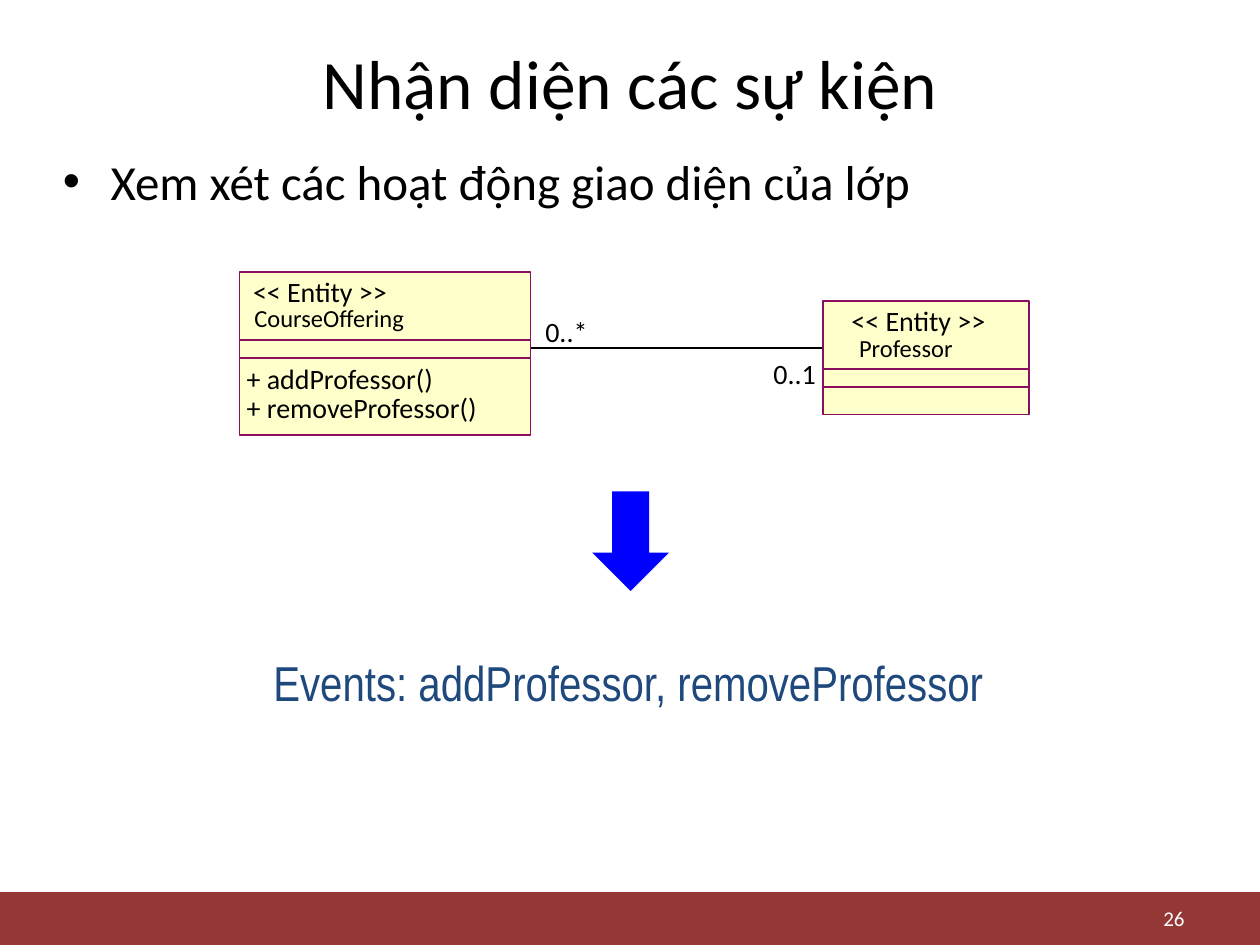
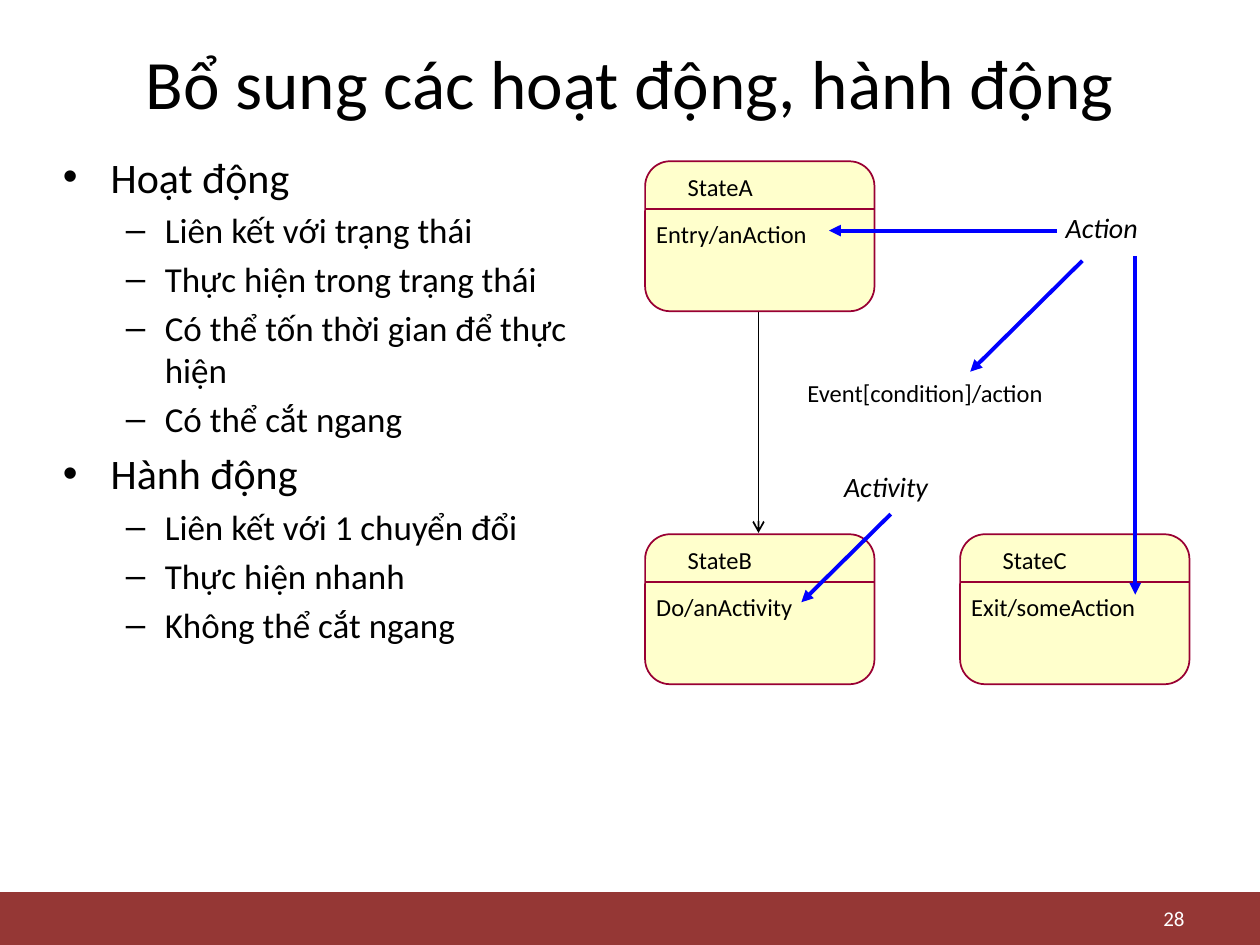
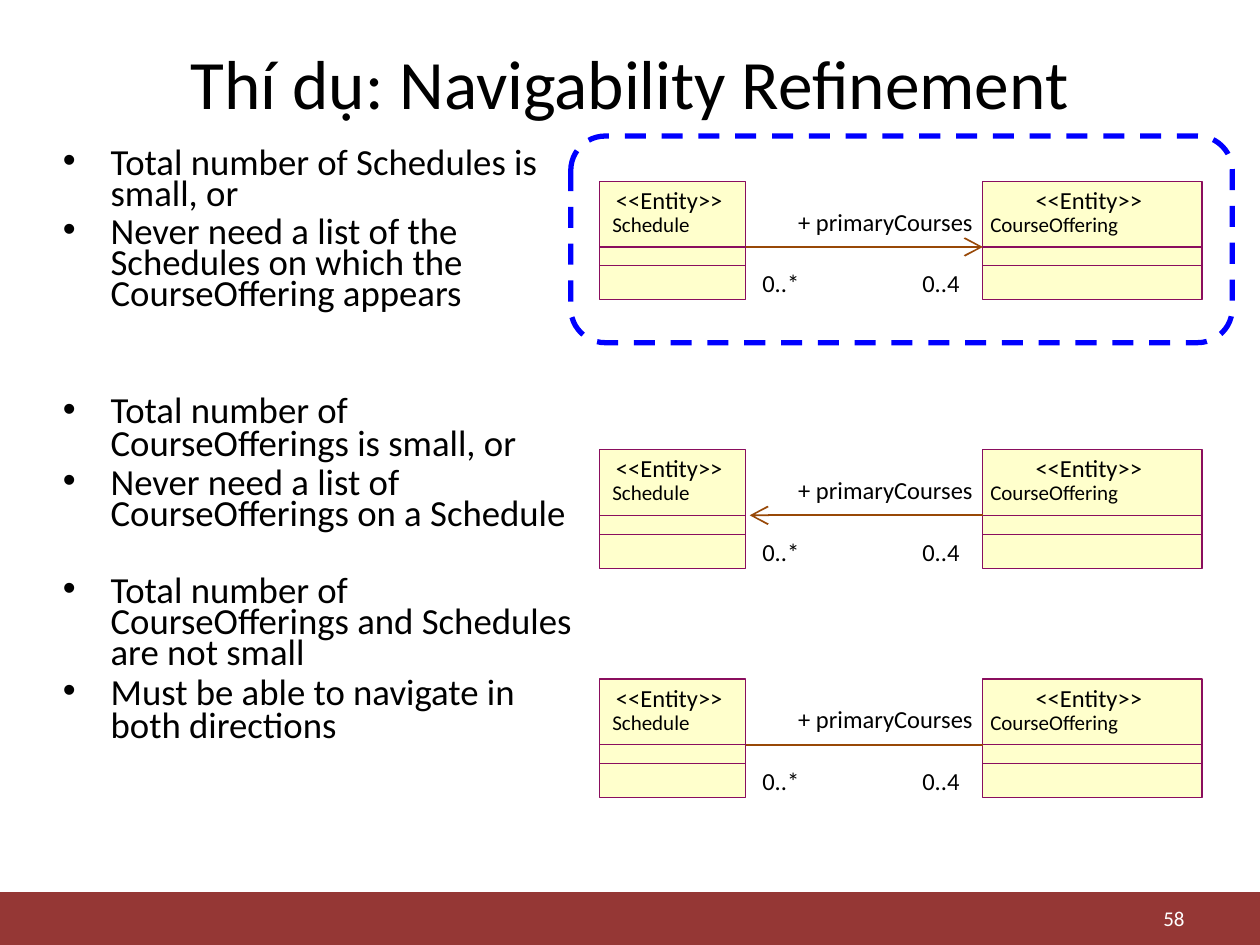
from dataclasses import dataclass
from typing import Optional

import pptx
import pptx.dml.color
import pptx.enum.dml
import pptx.enum.shapes
import pptx.enum.text
import pptx.oxml
import pptx.oxml.ns
import pptx.util

Inches = pptx.util.Inches
Pt = pptx.util.Pt
RGBColor = pptx.dml.color.RGBColor
Align = pptx.enum.text.PP_ALIGN
Anchor = pptx.enum.text.MSO_ANCHOR
Preset = pptx.enum.shapes.MSO_SHAPE
qn = pptx.oxml.ns.qn

BLACK = RGBColor(0x00, 0x00, 0x00)
WHITE = RGBColor(0xFF, 0xFF, 0xFF)
BAND = RGBColor(0x95, 0x37, 0x35)
CREAM = RGBColor(0xFF, 0xFF, 0xCC)
PLUM = RGBColor(0x8A, 0x0E, 0x5E)
CRIMSON = RGBColor(0x99, 0x00, 0x33)
BROWN = RGBColor(0x98, 0x48, 0x07)
BLUE = RGBColor(0x00, 0x00, 0xFF)
NAVY = RGBColor(0x1F, 0x49, 0x7D)
BODY_FONT = "Calibri"
EVENT_FONT = "Arial Narrow"


@dataclass
class Label:
    text: str
    left: float
    top: float
    width: float
    height: float
    size: float = 14
    color: RGBColor = BLACK
    font: str = BODY_FONT
    italic: bool = False
    align: Optional[Align] = None
    anchor: Anchor = Anchor.TOP
    inset: tuple[float, float] = (0.1, 0.05)
    wrap: bool = True


@dataclass
class Line:
    start: tuple[float, float]
    end: tuple[float, float]
    color: RGBColor = BLACK
    weight: float = 1
    tip: Optional[str] = None
    tip_size: str = "med"


@dataclass
class Panel:
    left: float
    top: float
    width: float
    height: float
    fill: Optional[RGBColor] = CREAM
    outline: Optional[RGBColor] = PLUM
    weight: float = 1
    preset: Preset = Preset.RECTANGLE
    dividers: tuple[float, ...] = ()


@dataclass
class Bullet:
    text: str
    size: float
    level: int = 0
    spacing: Optional[float] = None
    gap: float = 0


BULLET_STYLES = (("•", "Arial", 0.38, 0.38), ("–", "Arial", 0.81, 0.31))


def add_span(para, text: str, size: float, color: RGBColor = BLACK,
             font: str = BODY_FONT, italic: bool = False) -> None:
    span = para.add_run()
    span.text = text
    span.font.name = font
    span.font.size = Pt(size)
    span.font.color.rgb = color
    if italic:
        span.font.italic = True


def add_label(page, label: Label) -> None:
    box = page.shapes.add_textbox(Inches(label.left), Inches(label.top),
                                  Inches(label.width), Inches(label.height))
    frame = box.text_frame
    frame.word_wrap = label.wrap
    frame.vertical_anchor = label.anchor
    frame.margin_left = frame.margin_right = Inches(label.inset[0])
    frame.margin_top = frame.margin_bottom = Inches(label.inset[1])
    para = frame.paragraphs[0]
    para.alignment = label.align
    add_span(para, label.text, label.size, label.color, label.font, label.italic)


def add_line(page, line: Line) -> None:
    points = [Inches(value) for value in (*line.start, *line.end)]
    connector = page.shapes.add_connector(
        pptx.enum.shapes.MSO_CONNECTOR.STRAIGHT, *points)
    connector.line.color.rgb = line.color
    connector.line.width = Pt(line.weight)
    properties = connector._element.spPr
    if line.tip:
        tail = pptx.oxml.ns.qn("a:tailEnd")
        outline = properties.find(qn("a:ln"))
        end = outline.makeelement(
            tail, {"type": line.tip, "w": line.tip_size, "len": line.tip_size})
        outline.append(end)
    properties.append(properties.makeelement(qn("a:effectLst"), {}))


def add_panel(page, panel: Panel):
    shape = page.shapes.add_shape(panel.preset, Inches(panel.left), Inches(panel.top),
                                  Inches(panel.width), Inches(panel.height))
    shape.shadow.inherit = False
    if panel.fill is None:
        shape.fill.background()
    else:
        shape.fill.solid()
        shape.fill.fore_color.rgb = panel.fill
    if panel.outline is None:
        shape.line.fill.background()
    else:
        shape.line.color.rgb = panel.outline
        shape.line.width = Pt(panel.weight)
    for offset in panel.dividers:
        level = panel.top + offset
        add_line(page, Line((panel.left, level), (panel.left + panel.width, level),
                            panel.outline, panel.weight))
    return shape


def add_bullets(page, width: float, bullets: list[Bullet]) -> None:
    box = page.shapes.add_textbox(Inches(0.4), Inches(1.15), Inches(width), Inches(5.52))
    frame = box.text_frame
    frame.word_wrap = True
    for index, bullet in enumerate(bullets):
        para = frame.add_paragraph() if index else frame.paragraphs[0]
        mark, mark_font, margin, hanging = BULLET_STYLES[bullet.level]
        properties = para._p.get_or_add_pPr()
        properties.set("marL", str(Inches(margin)))
        properties.set("indent", str(-Inches(hanging)))
        for tag, key, value in (("a:buFont", "typeface", mark_font),
                                ("a:buChar", "char", mark)):
            properties.append(properties.makeelement(qn(tag), {key: value}))
        if bullet.spacing:
            para.line_spacing = bullet.spacing
        if index:
            para.space_before = Pt(0.2 * bullet.size + bullet.gap)
        add_span(para, bullet.text, bullet.size)


def add_page(deck, title: str, number: int):
    page = deck.slides.add_slide(deck.slide_layouts[6])
    add_panel(page, Panel(0, 7.08, 10, 0.42, BAND, None))
    add_label(page, Label(title, 0.5, 0.3, 9, 0.7, 39.6,
                          align=Align.CENTER, anchor=Anchor.MIDDLE))
    add_label(page, Label(str(number), 7.17, 7.15, 2.33, 0.27, 12, WHITE,
                          align=Align.RIGHT, anchor=Anchor.MIDDLE))
    return page


def build_events(deck) -> None:
    page = add_page(deck, "Nhận diện các sự kiện", 26)
    add_bullets(page, 9.28, [Bullet("Xem xét các hoạt động giao diện của lớp", 28)])
    add_label(page, Label("Events: addProfessor, removeProfessor", 2.05, 5.12, 6.06, 0.59,
                          28, NAVY, EVENT_FONT, inset=(0.12, 0.06)))
    arrow = add_panel(page, Panel(4.7, 3.9, 0.61, 0.79, BLUE, None,
                                  preset=Preset.DOWN_ARROW))
    arrow.adjustments[0] = 0.48
    arrow.adjustments[1] = 0.5
    add_line(page, Line((4.21, 2.76), (6.53, 2.76)))
    dividers = (0.54, 0.68)
    add_panel(page, Panel(1.9, 2.16, 2.31, 1.29, dividers=dividers))
    add_panel(page, Panel(6.53, 2.39, 1.64, 0.9, dividers=dividers))
    for label in (
        Label("<< Entity >>", 1.91, 2.13, 2.28, 0.37, 16),
        Label("CourseOffering", 1.92, 2.36, 2.28, 0.34),
        Label("+ addProfessor()", 1.86, 2.82, 1.84, 0.37, 16),
        Label("+ removeProfessor()", 1.86, 3.05, 2.21, 0.37, 16),
        Label("<< Entity >>", 6.66, 2.36, 1.37, 0.37, 16),
        Label("Professor", 6.72, 2.59, 1.3, 0.34),
        Label("0..*", 4.23, 2.45, 0.54, 0.37, 16, wrap=False),
        Label("0..1", 6.04, 2.78, 0.54, 0.37, 16, wrap=False),
    ):
        add_label(page, label)


def add_state(page, left: float, top: float, name: str, behavior: str) -> None:
    add_panel(page, Panel(left, top, 1.82, 1.19, outline=CRIMSON,
                          preset=Preset.ROUNDED_RECTANGLE, dividers=(0.38,)))
    add_label(page, Label(name, left + 0.24, top + 0.04, 1.36, 0.34))
    add_label(page, Label(behavior, left - 0.01, top + 0.41, 1.81, 0.34))


def build_activities(deck) -> None:
    page = add_page(deck, "Bổ sung các hoạt động, hành động", 28)
    topics = {
        "Hoạt động": ("Liên kết với trạng thái", "Thực hiện trong trạng thái",
                      "Có thể tốn thời gian để thực hiện", "Có thể cắt ngang"),
        "Hành động": ("Liên kết với 1 chuyển đổi", "Thực hiện nhanh",
                      "Không thể cắt ngang"),
    }
    bullets = []
    for topic, details in topics.items():
        bullets.append(Bullet(topic, 24))
        bullets.extend(Bullet(detail, 20, 1) for detail in details)
    add_bullets(page, 4.57, bullets)
    add_line(page, Line((6.02, 2.41), (6.02, 4.23), tip="arrow"))
    add_state(page, 5.12, 1.28, "StateA", "Entry/anAction")
    add_state(page, 5.12, 4.24, "StateB", "Do/anActivity")
    add_state(page, 7.62, 4.24, "StateC", "Exit/someAction")
    for start, end in (((7.07, 4.08), (6.36, 4.78)), ((9.01, 2.03), (9.01, 4.72)),
                       ((8.39, 1.83), (6.58, 1.83)), ((8.59, 2.07), (7.7, 2.95))):
        add_line(page, Line(start, end, BLUE, 2.25, "triangle"))
    add_label(page, Label("Action", 8.36, 1.62, 1.06, 0.37, 16, italic=True))
    add_label(page, Label("Activity", 6.6, 3.68, 1.11, 0.37, 16, italic=True))
    add_label(page, Label("Event[condition]/action", 6.31, 2.95, 2.25, 0.34))


def add_association(page, top: float, start: float, end: float,
                    tip: Optional[str]) -> None:
    level = top + 0.52
    for left, width in ((4.76, 1.16), (7.8, 1.74)):
        add_panel(page, Panel(left, top, width, 0.94, weight=0.75, dividers=(0.52, 0.67)))
    add_line(page, Line((start, level), (end, level), BROWN, tip=tip, tip_size="lg"))
    flush = (0, 0)
    for label in (
        Label("<<Entity>>", 4.79, top - 0.02, 1.15, 0.34),
        Label("Schedule", 4.86, top + 0.24, 0.62, 0.2, 12, inset=flush, wrap=False),
        Label("<<Entity>>", 8.12, top - 0.02, 1.15, 0.34),
        Label("CourseOffering", 7.86, top + 0.24, 1.03, 0.2, 12, inset=flush, wrap=False),
        Label("+ primaryCourses", 5.96, top + 0.15, 1.86, 0.34, align=Align.RIGHT),
        Label("0..*", 6.05, top + 0.69, 0.3, 0.24, inset=flush, wrap=False),
        Label("0..4", 7.32, top + 0.69, 0.3, 0.24, inset=flush, wrap=False),
    ):
        add_label(page, label)


def build_navigability(deck) -> None:
    page = add_page(deck, "Thí dụ: Navigability Refinement", 58)
    size, tight, loose, skip = 21, 0.7, 0.75, 22.1
    add_bullets(page, 4.27, [
        Bullet("Total number of Schedules is small, or", size, spacing=tight),
        Bullet("Never need a list of the Schedules on which the CourseOffering appears",
               size, spacing=tight),
        Bullet("Total number of CourseOfferings is small, or",
               size, spacing=loose, gap=2 * skip),
        Bullet("Never need a list of CourseOfferings on a Schedule", size, spacing=tight),
        Bullet("Total number of CourseOfferings and Schedules are not small",
               size, spacing=tight, gap=skip),
        Bullet("Must be able to navigate in both directions", size, spacing=loose),
    ])
    frame = add_panel(page, Panel(4.53, 1.08, 5.25, 1.64, None, BLUE, 3,
                                  Preset.ROUNDED_RECTANGLE))
    frame.line.dash_style = pptx.enum.dml.MSO_LINE.DASH
    add_association(page, 1.44, 5.92, 7.8, "arrow")
    add_association(page, 3.57, 7.8, 5.95, "arrow")
    add_association(page, 5.39, 5.92, 7.8, None)


def main() -> None:
    deck = pptx.Presentation()
    deck.slide_width = Inches(10)
    deck.slide_height = Inches(7.5)
    build_events(deck)
    build_activities(deck)
    build_navigability(deck)
    deck.save("out.pptx")


if __name__ == "__main__":
    main()
